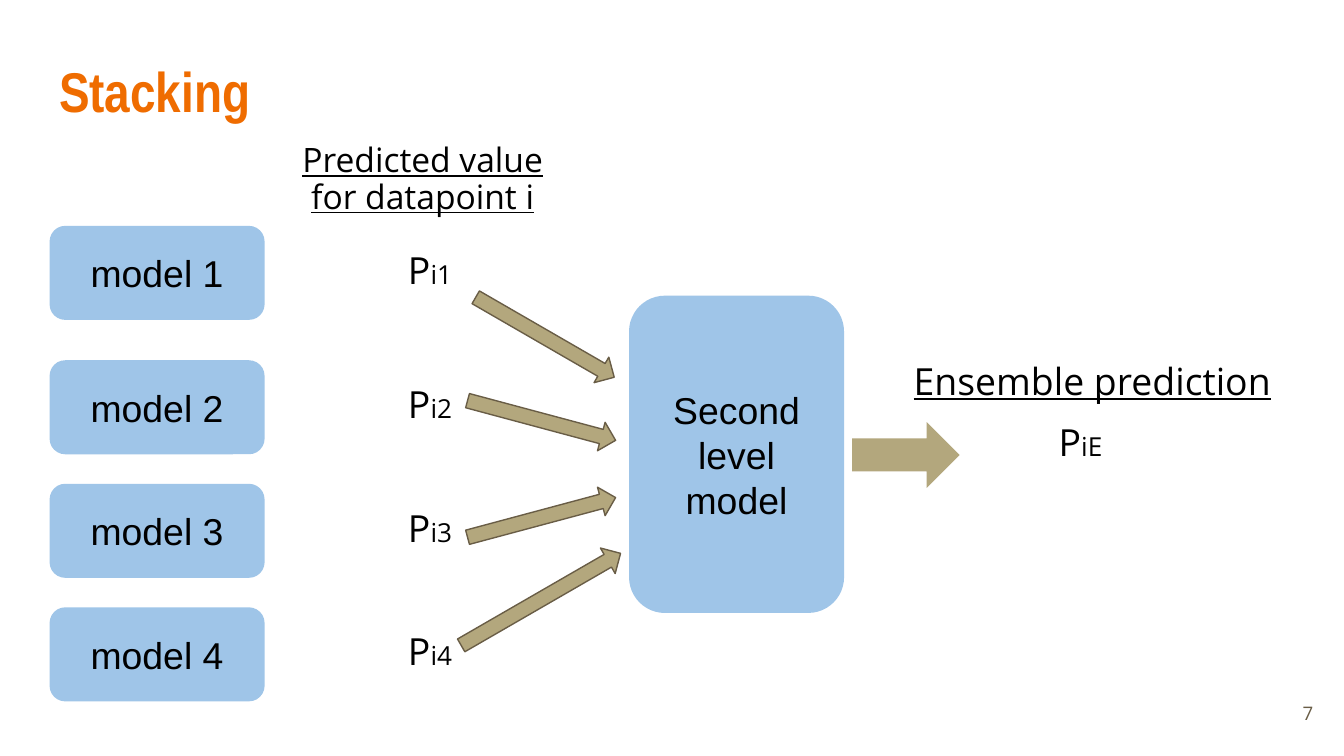
from pptx import Presentation
from pptx.dml.color import RGBColor
from pptx.enum import shapes, text
from pptx.util import Pt

THEME = {
    "accent": "EF6C00", "box": "9FC5E8", "arrow": "B3A77D", "muted": "695D46", "ink": "000000",
    "heading": "Arial Narrow", "label": "Arial", "body": "Open Sans",
    "title_size": 30, "size": 20, "note_size": 18, "sub_size": 14, "number_size": 10,
}
SHAPE = shapes.MSO_SHAPE
ALIGN = text.PP_ALIGN
ANCHOR = text.MSO_ANCHOR

# Boxes are left, top, width, height in points.
TITLE = ("Stacking", (24.5, 23, 671, 43.2))
MODELS = [("model 1", "i1", 121), ("model 2", "i2", 193),
          ("model 3", "i3", 259.2), ("model 4", "i4", 325.4)]
MODEL_LEFT, MODEL_WIDTH, MODEL_HEIGHT = 26.6, 115.2, 50.4
PREDICTION_LEFT, PREDICTION_DROP = 205.2, 6.9
PREDICTION_SIZE = (50.4, 35.3)
SECOND_LEVEL = ("Second\nlevel model", (337, 158.4, MODEL_WIDTH, 170))
INPUT_ARROWS = [((249.1, 172.8, 85.7, 15.8), 30), ((249.1, 217.4, 82.1, 15.8), 15),
                ((249.1, 269.3, 82.1, 15.8), -15), ((240.5, 313.2, 98.6, 15.8), -30)]
OUTPUT_ARROW = (456.5, 226.1, 57.6, 35.3)
HEADINGS = [
    ("Predicted value for datapoint i", (150.5, 69.8, 151.9, 31), THEME["note_size"], ALIGN.CENTER),
    ("Ensemble prediction", (482.4, 187.2, 213.1, 31), THEME["size"], ALIGN.LEFT),
]
ENSEMBLE = ("iE", 553.7, 220.3)
NUMBER = ("7", (667.4, 367.2, 43.2, 31))


def color(name):
    return RGBColor.from_string(THEME[name])


def place(shape, box):
    shape.left, shape.top, shape.width, shape.height = map(Pt, box)


def style(run, font, size, ink="ink"):
    run.font.name, run.font.size = THEME[font], Pt(size)
    run.font.color.rgb = color(ink)


def set_frame(shape, anchor=ANCHOR.TOP):
    frame = shape.text_frame
    frame.word_wrap, frame.auto_size = True, text.MSO_AUTO_SIZE.NONE
    frame.vertical_anchor = anchor
    frame.margin_left = frame.margin_right = frame.margin_top = frame.margin_bottom = Pt(7.2)
    return frame


def add_filled(slide, preset, box, fill):
    shape = slide.shapes.add_shape(preset, *map(Pt, box))
    shape.shadow.inherit = False
    shape.fill.solid()
    shape.fill.fore_color.rgb = color(fill)
    shape.line.fill.background()
    return shape


def add_model(slide, label, box):
    frame = set_frame(add_filled(slide, SHAPE.ROUNDED_RECTANGLE, box, "box"), ANCHOR.MIDDLE)
    frame.text = label
    for paragraph in frame.paragraphs:
        paragraph.alignment = ALIGN.CENTER
        style(paragraph.runs[0], "label", THEME["size"])


def add_text(slide, parts, box, align, anchor=ANCHOR.TOP, ink="ink"):
    """Add one body paragraph made of (wording, size) parts."""
    paragraph = set_frame(slide.shapes.add_textbox(*map(Pt, box)), anchor).paragraphs[0]
    paragraph.alignment = align
    paragraph.line_spacing = 0.9
    for wording, size in parts:
        run = paragraph.add_run()
        run.text = wording
        style(run, "body", size, ink)
    return paragraph


def add_prediction(slide, index, left, top):
    add_text(slide, [("P", THEME["size"]), (index, THEME["sub_size"])],
             (left, top, *PREDICTION_SIZE), ALIGN.CENTER)


def main():
    deck = Presentation()
    deck.slide_width, deck.slide_height = Pt(720), Pt(405)
    slide = deck.slides.add_slide(deck.slide_layouts[5])

    title, title_box = TITLE
    place(slide.shapes.title, title_box)
    frame = set_frame(slide.shapes.title)
    frame.text = title
    frame.paragraphs[0].alignment = ALIGN.LEFT
    style(frame.paragraphs[0].runs[0], "heading", THEME["title_size"], "accent")
    frame.paragraphs[0].runs[0].font.bold = True

    for label, index, top in MODELS:
        add_model(slide, label, (MODEL_LEFT, top, MODEL_WIDTH, MODEL_HEIGHT))
        add_prediction(slide, index, PREDICTION_LEFT, top + PREDICTION_DROP)
    for box, angle in INPUT_ARROWS:
        arrow = add_filled(slide, SHAPE.RIGHT_ARROW, box, "arrow")
        arrow.rotation = angle
        arrow.line.color.rgb = color("muted")
        arrow.line.width = Pt(0.75)
    add_model(slide, *SECOND_LEVEL)
    add_filled(slide, SHAPE.RIGHT_ARROW, OUTPUT_ARROW, "arrow")

    for wording, box, size, align in HEADINGS:
        add_text(slide, [(wording, size)], box, align).runs[0].font.underline = True
    add_prediction(slide, *ENSEMBLE)
    number, number_box = NUMBER
    add_text(slide, [(number, THEME["number_size"])], number_box, ALIGN.RIGHT, ANCHOR.MIDDLE, "muted")
    deck.save("out.pptx")


if __name__ == "__main__":
    main()
